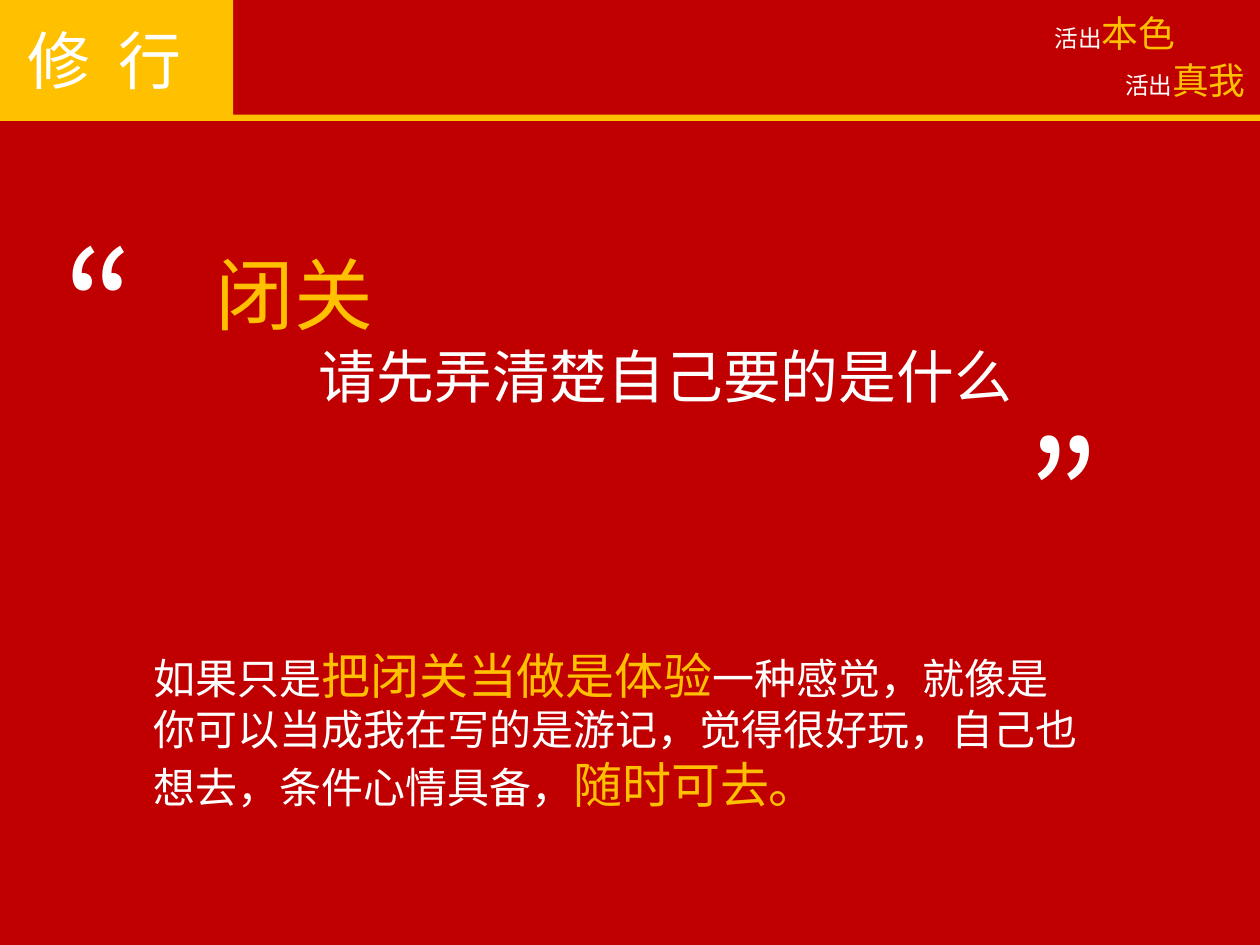
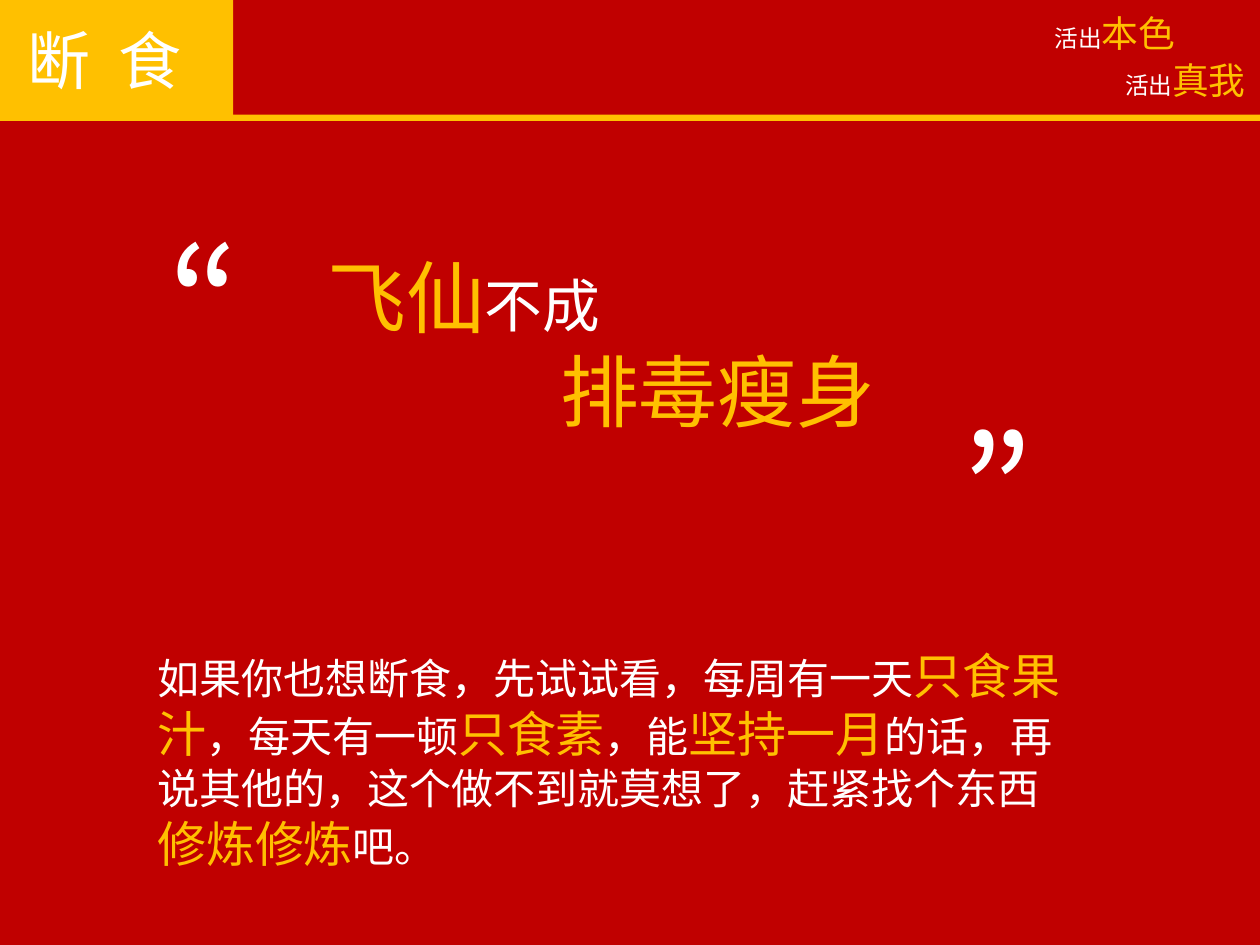
"""Build two red and gold slides on retreat and fasting."""
from lxml import etree
from pptx import Presentation
from pptx import util as u
from pptx.dml.color import RGBColor
from pptx.enum import shapes, text
from pptx.oxml.ns import qn

RED, GOLD, WHITE = "C00000", "FFC000", "FFFFFF"
SANS, MONO = "Noto Sans CJK JP", "Courier New"


def paint(fill, hue):
    """Give a fill one solid colour."""
    fill.solid()
    fill.fore_color.rgb = RGBColor.from_string(hue)


def write(box, place, lines, small, large, face=SANS):
    """Place a box and fill it with (indent, text) lines; *starred* parts are large and gold."""
    box.left, box.top, box.width, box.height = [u.Cm(n) for n in place]
    frame = box.text_frame
    frame.word_wrap = True
    frame.vertical_anchor = text.MSO_ANCHOR.TOP
    for i, (indent, line) in enumerate(lines):
        para = frame.add_paragraph() if i else frame.paragraphs[0]
        para.alignment = text.PP_ALIGN.LEFT
        if indent:
            para._p.get_or_add_pPr().set("marL", str(u.Cm(indent)))
        for j, part in enumerate(line.split("*")):
            if part:
                run = para.add_run()
                run.text = part
                run.font.size = u.Pt(large if j % 2 else small)
                paint(run.font.fill, GOLD if j % 2 else WHITE)
                run.font.name = face
                etree.SubElement(run.font._element, qn("a:ea"), typeface=face)


pages = [
    dict(title="修 行",
         head=[(0, "*闭关*"), (2.09, "请先弄清楚自己要的是什么")],
         spot=(4.09, 4.83, 18.08, 3.58),
         marks=[("“", 1.04, 4.17), ("”", 20.47, 8)],
         body="如果只是*把闭关当做是体验*一种感觉，就像是你可以当成我在写的是游记，"
              "觉得很好玩，自己也想去，条件心情具备，*随时可去。*",
         area=(2.84, 12.88, 19.15, 3.68)),
    dict(title="断 食",
         head=[(0, "*飞仙*不成"), (4.69, "*排毒瘦身*")],
         spot=(6.35, 4.88, 16.84, 4.11),
         marks=[("“", 3.15, 4.09), ("”", 19.13, 7.87)],
         body="如果你也想断食，先试试看，每周有一天*只食果汁*，每天有一顿*只食素*，"
              "能*坚持一月*的话，再说其他的，这个做不到就莫想了，"
              "赶紧找个东西*修炼修炼*吧。",
         area=(2.92, 12.88, 19.25, 4.88)),
]
bands = [(0, 2.31, 25.4, 0.13), (0, 0, 4.7, 2.34)]
mottos = [("活出*本色*", 21.01, 0.1), ("活出*真我*", 22.43, 1.04)]

deck = Presentation()
deck.slide_width, deck.slide_height = u.Cm(25.4), u.Cm(19.05)
paint(deck.slide_master.background.fill, RED)

for page in pages:
    slide = deck.slides.add_slide(deck.slide_layouts[5])
    parts = slide.shapes
    for place in bands:
        band = parts.add_shape(shapes.MSO_SHAPE.RECTANGLE, *[u.Cm(n) for n in place])
        band.shadow.inherit = False
        paint(band.fill, GOLD)
        band.line.fill.background()

    title = parts.title
    parts._spTree.append(title._element)
    write(title, (0.3, 0.3, 4.09, 1.8), [(0, page["title"])], 36, 36)
    title.text_frame.auto_size = text.MSO_AUTO_SIZE.NONE
    title.text_frame.paragraphs[0].runs[0].font._element.set("spc", "400")

    for motto, left, top in mottos:
        box = parts.add_textbox(0, 0, 0, 0)
        write(box, (left, top, 2.97, 1.14), [(0, motto)], 13.5, 21)
        box.text_frame.word_wrap = False

    write(parts.add_textbox(0, 0, 0, 0), page["spot"], page["head"], 33, 45)
    for mark, left, top in page["marks"]:
        write(parts.add_textbox(0, 0, 0, 0), (left, top, 3.58, 3.94), [(0, mark)], 86.2, 86.2)
    write(parts.add_textbox(0, 0, 0, 0), page["area"], [(0, page["body"])], 24, 28, MONO)

deck.save("out.pptx")
